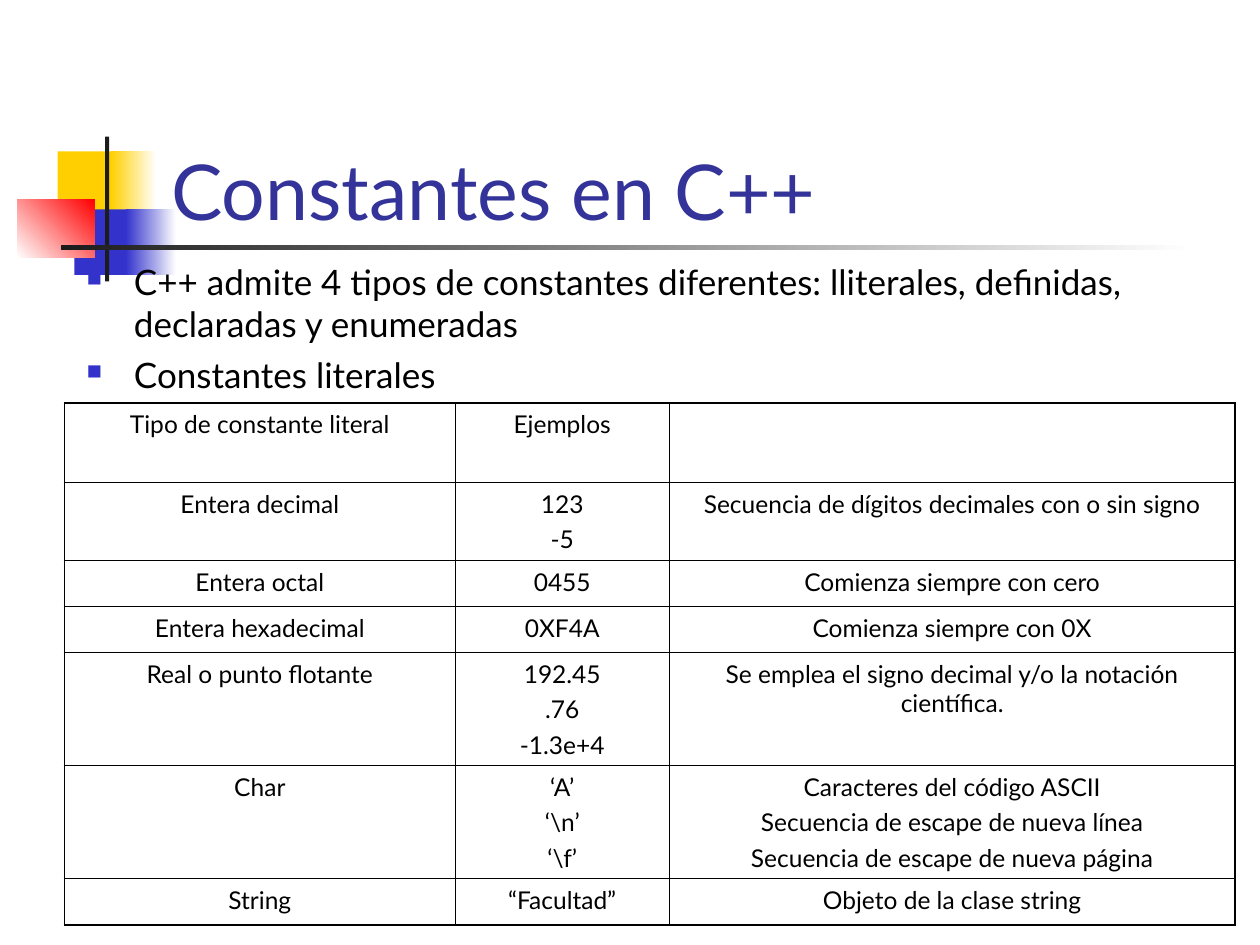
from dataclasses import dataclass

from lxml import etree
from pptx import Presentation
from pptx.dml.color import RGBColor
from pptx.enum.shapes import MSO_SHAPE
from pptx.enum.text import MSO_ANCHOR, MSO_AUTO_SIZE, PP_ALIGN
from pptx.oxml.ns import qn
from pptx.util import Pt

RECT = MSO_SHAPE.RECTANGLE
LEFT, CENTER = PP_ALIGN.LEFT, PP_ALIGN.CENTER
TOP, BOTTOM = MSO_ANCHOR.TOP, MSO_ANCHOR.BOTTOM
NO_FIT = MSO_AUTO_SIZE.NONE
TITLE_ONLY = 5


@dataclass(frozen=True)
class Theme:
    font: str = "Lato"
    title: str = "333399"
    text: str = "000000"
    white: str = "FFFFFF"
    gold: str = "FFCF01"
    blue: str = "3333CC"
    red: str = "FF0000"
    dark: str = "1C1C1C"
    title_size: float = 44
    body_size: float = 20
    cell_size: float = 14
    thin: float = 0.45
    thick: float = 1.08


class Deck:
    """Holds the theme and the slide being drawn."""

    def __init__(self, theme, slide):
        self.theme = theme
        self.slide = slide
        self.shapes = slide.shapes

    def style(self, para, size, color, align, before=0):
        para.alignment = align
        para.space_before = Pt(before)
        for run in para.runs:
            run.font.name = self.theme.font
            run.font.size = Pt(size)
            run.font.color.rgb = RGBColor.from_string(color)

    def block(self, box, *colors, angle=0):
        """Draw a plain rectangle, or a gradient one when given two colours."""
        shape = self.shapes.add_shape(RECT, *map(Pt, box))
        shape.shadow.inherit = False
        shape.line.fill.background()
        if len(colors) == 1:
            shape.fill.solid()
            shape.fill.fore_color.rgb = RGBColor.from_string(colors[0])
            return
        shape.fill.gradient()
        shape.fill.gradient_angle = angle
        for stop, color in zip(shape.fill.gradient_stops, colors):
            stop.color.rgb = RGBColor.from_string(color)

    def title(self, box, text):
        """Fill the title and bring it in front of the blocks."""
        shape = self.shapes.title
        shape.left, shape.top, shape.width, shape.height = map(Pt, box)
        frame = shape.text_frame
        frame.text = text
        frame.auto_size = NO_FIT
        frame.vertical_anchor = BOTTOM
        self.style(frame.paragraphs[0], self.theme.title_size, self.theme.title, LEFT)
        self.shapes.element.append(shape.element)

    def bullets(self, box, items):
        frame = self.shapes.add_textbox(*map(Pt, box)).text_frame
        frame.word_wrap = True
        frame.text = "\n".join(items)
        for para in frame.paragraphs:
            self.style(para, self.theme.body_size, self.theme.text, LEFT, before=5)
            props = para._p.get_or_add_pPr()
            props.set("marL", str(Pt(27)))
            props.set("indent", str(-Pt(27)))
            color = etree.SubElement(props, qn("a:buClr"))
            etree.SubElement(color, qn("a:srgbClr"), val=self.theme.blue)
            etree.SubElement(props, qn("a:buSzPct"), val="60000")
            etree.SubElement(props, qn("a:buChar"), char="■")

    def border(self, cell, side, width):
        props = cell._tc.get_or_add_tcPr()
        line = etree.SubElement(props, qn("a:ln" + side), w=str(Pt(width)))
        fill = etree.SubElement(line, qn("a:solidFill"))
        etree.SubElement(fill, qn("a:srgbClr"), val=self.theme.text)

    def table(self, left, top, cols, rows, data):
        """Draw a grid with a thick outer frame; each cell is a list of lines."""
        frame = self.shapes.add_table(
            len(rows), len(cols), Pt(left), Pt(top), Pt(sum(cols)), Pt(sum(rows)))
        grid = frame.table
        grid.first_row = grid.horz_banding = False
        for col, width in zip(grid.columns, cols):
            col.width = Pt(width)
        for row, height in zip(grid.rows, rows):
            row.height = Pt(height)
        for r, line in enumerate(data):
            for c, texts in enumerate(line):
                cell = grid.cell(r, c)
                cell.vertical_anchor = TOP
                cell.text_frame.text = "\n".join(texts)
                for para in cell.text_frame.paragraphs:
                    self.style(para, self.theme.cell_size, self.theme.text,
                               CENTER, before=3.5)
                edges = {"L": c == 0, "R": c == len(cols) - 1,
                         "T": r == 0, "B": r == len(rows) - 1}
                for side, outer in edges.items():
                    self.border(cell, side,
                                self.theme.thick if outer else self.theme.thin)
                cell.fill.background()


POINTS = [
    "C++ admite 4 tipos de constantes diferentes: lliterales, definidas, "
    "declaradas y enumeradas",
    "Constantes literales",
]

TYPES = [
    (["Tipo de constante literal"], ["Ejemplos"], []),
    (["Entera decimal"], ["123", "-5"],
     ["Secuencia de dígitos decimales con o sin signo"]),
    (["Entera octal"], ["0455"], ["Comienza siempre con cero"]),
    (["Entera hexadecimal"], ["0XF4A"], ["Comienza siempre con 0X"]),
    (["Real o punto flotante"], ["192.45", ".76", "-1.3e+4"],
     ["Se emplea el signo decimal y/o la notación científica."]),
    (["Char"], ["‘A’", r"‘\n’", r"‘\f’"],
     ["Caracteres del código ASCII", "Secuencia de escape de nueva línea",
      "Secuencia de escape de nueva página"]),
    (["String"], ["“Facultad”"], ["Objeto de la clase string"]),
]


def main():
    prs = Presentation()
    prs.slide_width, prs.slide_height = Pt(720), Pt(540)
    theme = Theme()
    deck = Deck(theme, prs.slides.add_slide(prs.slide_layouts[TITLE_ONLY]))

    deck.block((33, 86.5, 34.5, 37.4), theme.gold)
    deck.block((63.4, 86.5, 25.9, 37.4), theme.gold, theme.white)
    deck.block((42.5, 119.7, 33.1, 37.4), theme.blue)
    deck.block((72, 119.7, 28.8, 37.4), theme.blue, theme.white)
    deck.block((9.8, 113.8, 44.2, 33.5), theme.white, theme.red, angle=45)
    deck.block((60, 78, 2.4, 82.8), theme.dark)
    deck.block((34.8, 140.2, 648, 2.4), theme.dark, theme.white)

    deck.title((90.7, 48.2, 613.4, 90), "Constantes en C++")
    deck.bullets((42.5, 145.4, 662.4, 337.7), POINTS)

    short, double, triple = 26.3, 44.6, 64.6
    deck.table(36.9, 230.4, [223.2, 122.4, 323.3],
               [45.4, double, short, short, triple, triple, short], TYPES)
    prs.save("out.pptx")


if __name__ == "__main__":
    main()
